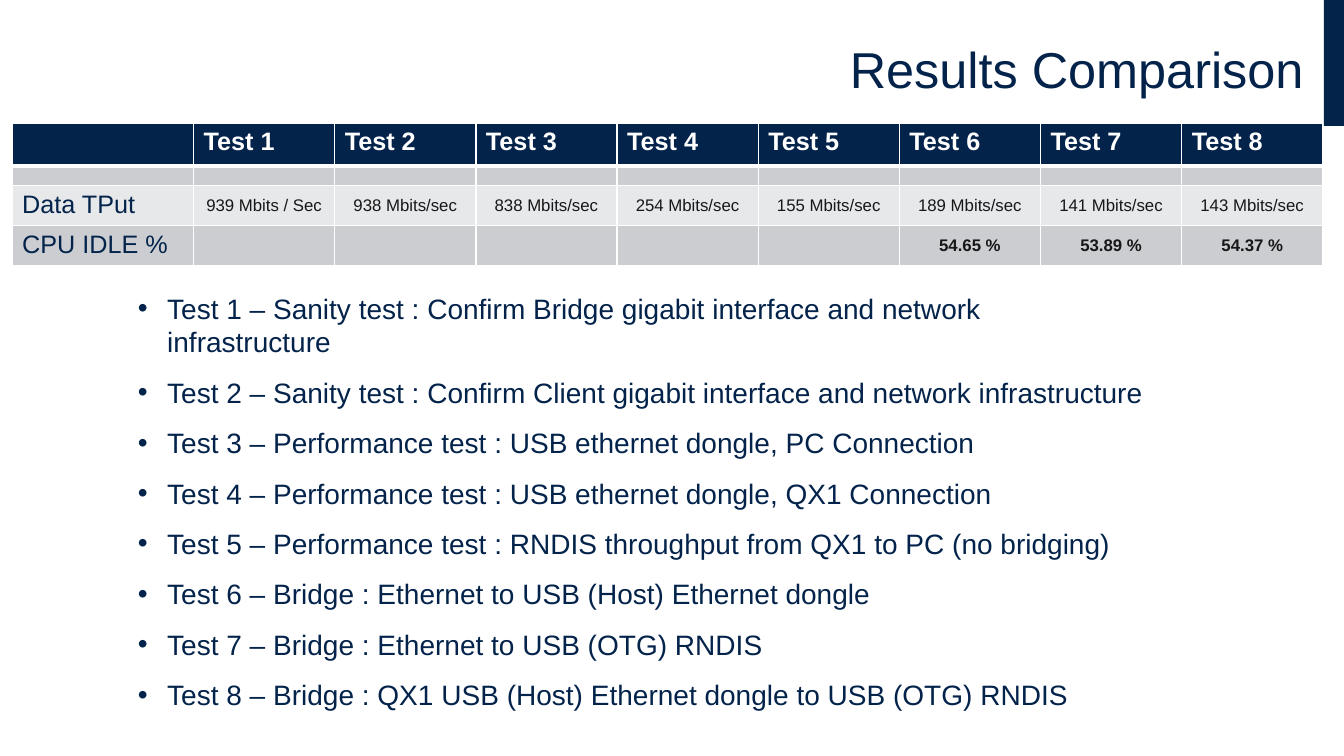
from lxml.etree import SubElement
from pptx import Presentation
from pptx.dml.color import RGBColor
from pptx.enum.shapes import MSO_SHAPE
from pptx.enum.text import MSO_ANCHOR, PP_ALIGN
from pptx.oxml.ns import qn
from pptx.util import Inches, Pt

NAVY, WHITE, INK = "03234B", "FFFFFF", "171718"
DARK_BAND, LIGHT_BAND = "CCCDD0", "E7E8E9"

RATES = ["939\u00a0Mbits / Sec"] + [
    f"{rate}\u00a0Mbits/sec" for rate in (938, 838, 254, 155, 189, 141)
] + ["143 Mbits/sec"]
RESULTS = [
    [""] + [f"Test {n}" for n in range(1, 9)],
    [""] * 9,
    ["Data TPut"] + RATES,
    ["CPU IDLE %"] + [""] * 5 + ["54.65 %", "53.89 %", "54.37 %"],
]
ROW_HEIGHTS = [0.43, 0.19, 0.4, 0.4]
ROW_FILLS = [NAVY, DARK_BAND, LIGHT_BAND, DARK_BAND]

TESTS = [
    "Sanity test : Confirm Bridge gigabit interface and network infrastructure",
    "Sanity test : Confirm Client gigabit interface\u00a0and network infrastructure",
    "Performance test : USB ethernet dongle, PC Connection",
    "Performance test : USB ethernet dongle, QX1 Connection",
    "Performance test : RNDIS throughput from QX1 to PC (no bridging)",
    "Bridge : Ethernet to USB (Host) Ethernet dongle",
    "Bridge : Ethernet to USB (OTG) RNDIS",
    "Bridge : QX1 USB (Host) Ethernet dongle to USB (OTG) RNDIS",
]


def color(value):
    """Turn a hex string into a colour."""
    return RGBColor.from_string(value)


def style(p, size, fill, bold=False):
    """Format every run of a paragraph."""
    for r in p.runs:
        r.font.name = "Arial"
        r.font.size = Pt(size)
        r.font.bold = bold
        r.font.color.rgb = color(fill)


def add_corner_bar(s):
    """Draw the bar in the top right corner."""
    sp = s.shapes.add_shape(MSO_SHAPE.RECTANGLE, Inches(13.13), 0, Inches(0.2), Inches(1.25))
    sp.shadow.inherit = False
    sp.fill.solid()
    sp.fill.fore_color.rgb = color(NAVY)
    sp.line.fill.background()


def set_title(s, text):
    """Place and format the slide title."""
    sp = s.shapes.title
    sp.left, sp.top, sp.width, sp.height = Inches(0.33), 0, Inches(12.7), Inches(1.43)
    tf = sp.text_frame
    tf.text = text
    tf.vertical_anchor = MSO_ANCHOR.MIDDLE
    p = tf.paragraphs[0]
    p.alignment = PP_ALIGN.RIGHT
    p.line_spacing = 0.9
    style(p, 36, NAVY)


def set_borders(cell, bottom):
    """Give a cell white borders, with its own bottom width in points."""
    tc_pr = cell._tc.get_or_add_tcPr()
    for side, width in (("L", 1), ("R", 1), ("T", 1), ("B", bottom)):
        ln = SubElement(tc_pr, qn(f"a:ln{side}"), w=str(Pt(width)))
        SubElement(SubElement(ln, qn("a:solidFill")), qn("a:srgbClr"), val=WHITE)


def fill_cell(cell, row, col, text):
    """Write and format one table cell."""
    set_borders(cell, 3 if row == 0 else 1)
    cell.fill.solid()
    cell.fill.fore_color.rgb = color(ROW_FILLS[row])
    p = cell.text_frame.paragraphs[0]
    if not text:
        SubElement(p._p, qn("a:endParaRPr"), sz="500")
        return
    p.text = text
    if row == 0:
        style(p, 18, WHITE, True)
    elif col == 0:
        style(p, 18, NAVY)
    else:
        cell.vertical_anchor = MSO_ANCHOR.MIDDLE
        p.alignment = PP_ALIGN.CENTER
        style(p, 12, INK, row == 3)


def add_results_table(s):
    """Add the table of throughput and idle values."""
    frame = s.shapes.add_table(len(RESULTS), len(RESULTS[0]), Inches(0.12), Inches(1.22),
                               Inches(13), Inches(sum(ROW_HEIGHTS)))
    table = frame.table
    for col, column in enumerate(table.columns):
        column.width = Inches(1.4 if col else 1.8)
    for row, values in enumerate(RESULTS):
        table.rows[row].height = Inches(ROW_HEIGHTS[row])
        for col, text in enumerate(values):
            fill_cell(table.cell(row, col), row, col, text)


def add_bullet(p):
    """Give a paragraph a hanging round bullet."""
    p_pr = p._p.get_or_add_pPr()
    indent = Inches(0.29)
    p_pr.set("marL", str(indent))
    p_pr.set("indent", str(-indent))
    SubElement(p_pr, qn("a:buFont"), typeface="Arial")
    SubElement(p_pr, qn("a:buChar"), char="\u2022")


def add_test_list(s):
    """Add the bulleted descriptions of the tests."""
    sp = s.shapes.add_textbox(Inches(1.27), Inches(2.84), Inches(10.2), Inches(4.27))
    tf = sp.text_frame
    tf.word_wrap = True
    for n, text in enumerate(TESTS, 1):
        p = tf.paragraphs[0] if n == 1 else tf.add_paragraph()
        p.text = f"Test {n} \u2013 {text}"
        p.space_before = Pt(12)
        p.line_spacing = Pt(24)
        add_bullet(p)
        style(p, 20, NAVY)


def main():
    """Build and save the slide."""
    prs = Presentation()
    prs.slide_width, prs.slide_height = Inches(13.33), Inches(7.5)
    s = prs.slides.add_slide(prs.slide_layouts[5])
    add_corner_bar(s)
    set_title(s, "Results Comparison")
    add_results_table(s)
    add_test_list(s)
    prs.save("out.pptx")


main()
